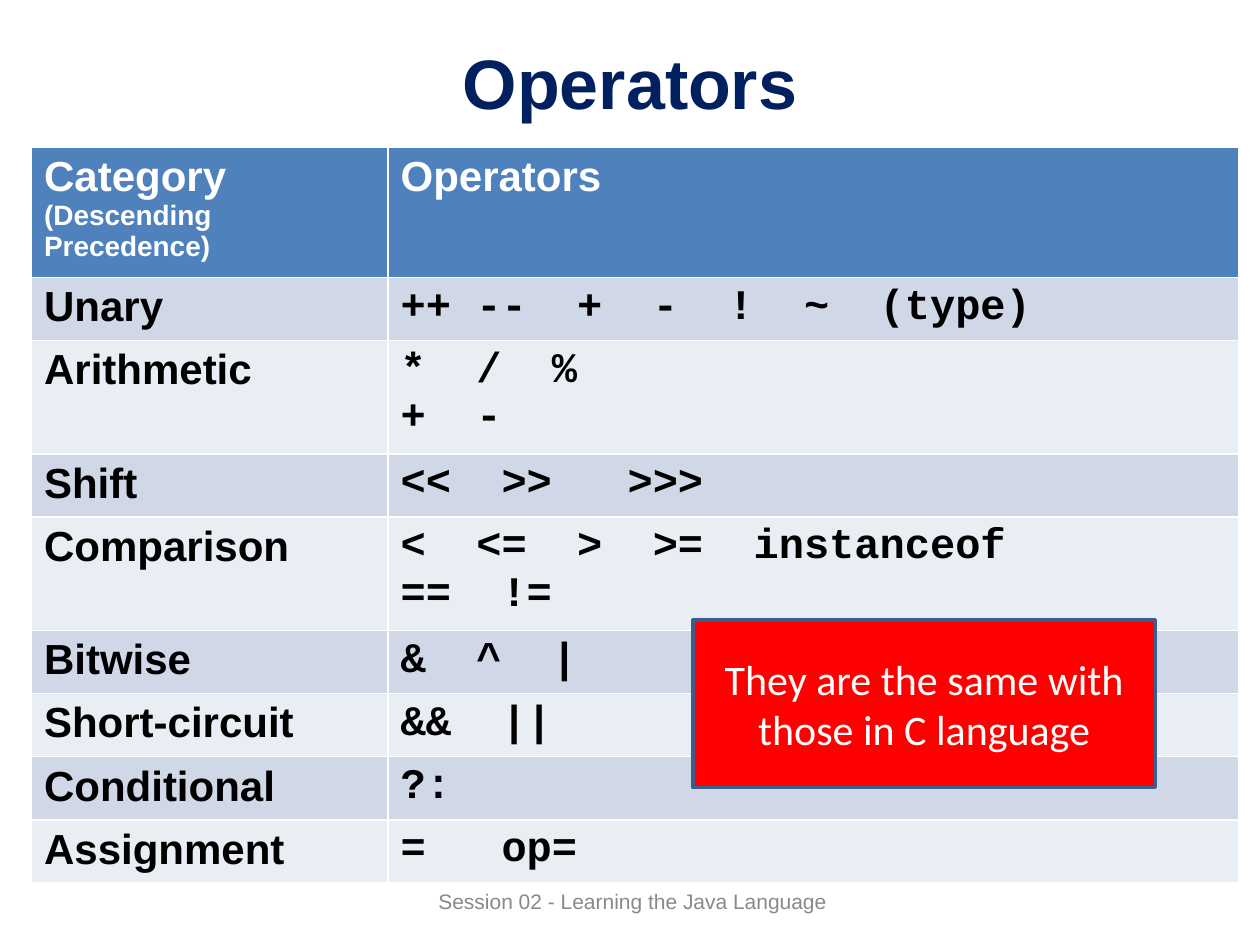
"""Build the Java operator precedence slide."""
from pptx import Presentation
from pptx.dml.color import RGBColor
from pptx.enum.shapes import MSO_SHAPE
from pptx.enum.text import MSO_ANCHOR as Anchor, PP_ALIGN as Align
from pptx.util import Inches, Pt

NAVY = RGBColor(0x00, 0x20, 0x60)
BLUE = RGBColor(0x4F, 0x81, 0xBD)
DARK_BLUE = RGBColor(0x3A, 0x5F, 0x8C)
BANDS = RGBColor(0xE9, 0xED, 0xF4), RGBColor(0xD0, 0xD8, 0xE8)
RED = RGBColor(0xFF, 0x00, 0x00)
GREY = RGBColor(0x89, 0x89, 0x89)
WHITE = RGBColor(0xFF, 0xFF, 0xFF)
BLACK = RGBColor(0x00, 0x00, 0x00)

TITLE = "Operators"
FOOTER = "Session 02 - Learning the Java Language\u00a0"
NOTE = "They are the same with those in C language"
ROWS = [
    ("Category\n(Descending Precedence)", "Operators"),
    ("Unary", "++ --  +  -  !  ~  (type) "),
    ("Arithmetic", "*  /  %   \n+  -"),
    ("Shift", "<<  >>   >>>"),
    ("Comparison", "<  <=  >  >=  instanceof\n==  !="),
    ("Bitwise", "&  ^  |"),
    ("Short-circuit", "&&  ||"),
    ("Conditional", "?:"),
    ("Assignment", "=   op="),
]
COLUMN_WIDTHS = 2.83, 6.75
SINGLE_HEIGHT, DOUBLE_HEIGHT = 0.48, 0.86


def write(frame, text, size, color, font="Arial", bold=False, align=None):
    """Fill a text frame with evenly formatted paragraphs."""
    frame.text = text
    frame.word_wrap = True
    for para in frame.paragraphs:
        para.alignment = align
        for span in para.runs:
            span.font.name = font
            span.font.size = Pt(size)
            span.font.bold = bold
            span.font.color.rgb = color


def place(shape, left, top, width, height):
    """Move and size a shape in inches."""
    shape.left, shape.top = Inches(left), Inches(top)
    shape.width, shape.height = Inches(width), Inches(height)


deck = Presentation()
deck.slide_width, deck.slide_height = Inches(10), Inches(7.5)
slide = deck.slides.add_slide(deck.slide_layouts[5])

title = slide.shapes.title
place(title, 0.5, 0.3, 9, 0.7)
write(title.text_frame, TITLE, 40, NAVY, bold=True, align=Align.CENTER)
title.text_frame.vertical_anchor = Anchor.MIDDLE

footer = slide.shapes.add_textbox(Inches(2.92), Inches(6.95), Inches(4.25), Inches(0.4))
write(footer.text_frame, FOOTER, 12, GREY, align=Align.CENTER)
footer.text_frame.vertical_anchor = Anchor.MIDDLE

heights = [DOUBLE_HEIGHT if any("\n" in text for text in row) else SINGLE_HEIGHT for row in ROWS]
table = slide.shapes.add_table(
    len(ROWS), len(COLUMN_WIDTHS), Inches(0.25), Inches(1.17),
    Inches(sum(COLUMN_WIDTHS)), Inches(sum(heights))).table
for column, width in zip(table.columns, COLUMN_WIDTHS):
    column.width = Inches(width)
for row_index, (row, height) in enumerate(zip(ROWS, heights)):
    table.rows[row_index].height = Inches(height)
    is_header = row_index == 0
    for column_index, text in enumerate(row):
        cell = table.cell(row_index, column_index)
        cell.fill.solid()
        cell.fill.fore_color.rgb = BLUE if is_header else BANDS[row_index % 2]
        font = "Courier New" if column_index and not is_header else "Arial"
        write(cell.text_frame, text, 24, WHITE if is_header else BLACK, font, bold=True)
table.cell(0, 0).text_frame.paragraphs[1].runs[0].font.size = Pt(16)

note = slide.shapes.add_shape(
    MSO_SHAPE.RECTANGLE, Inches(5.5), Inches(4.92), Inches(3.67), Inches(1.33))
note.shadow.inherit = False
note.fill.solid()
note.fill.fore_color.rgb = RED
note.line.color.rgb = DARK_BLUE
note.line.width = Pt(2)
write(note.text_frame, NOTE, 24, WHITE, "Calibri", align=Align.CENTER)
note.text_frame.vertical_anchor = Anchor.MIDDLE

deck.save("out.pptx")
